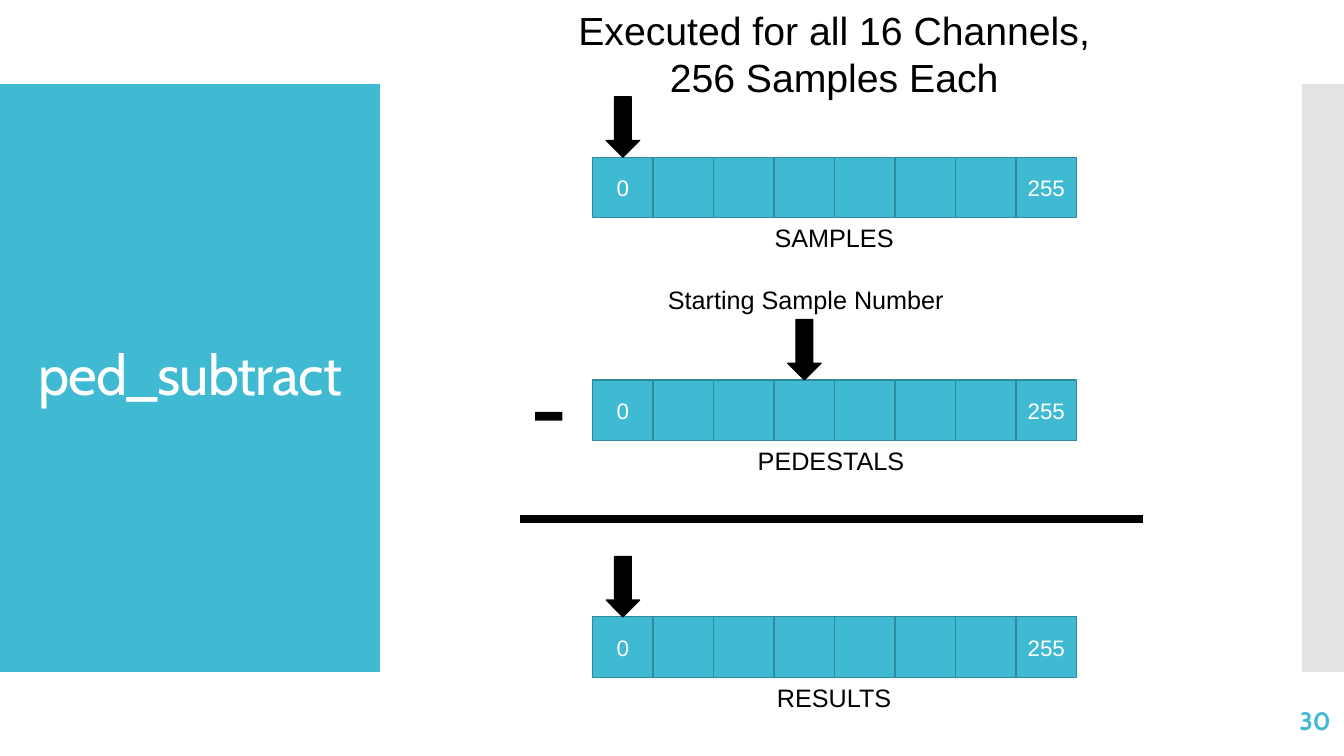
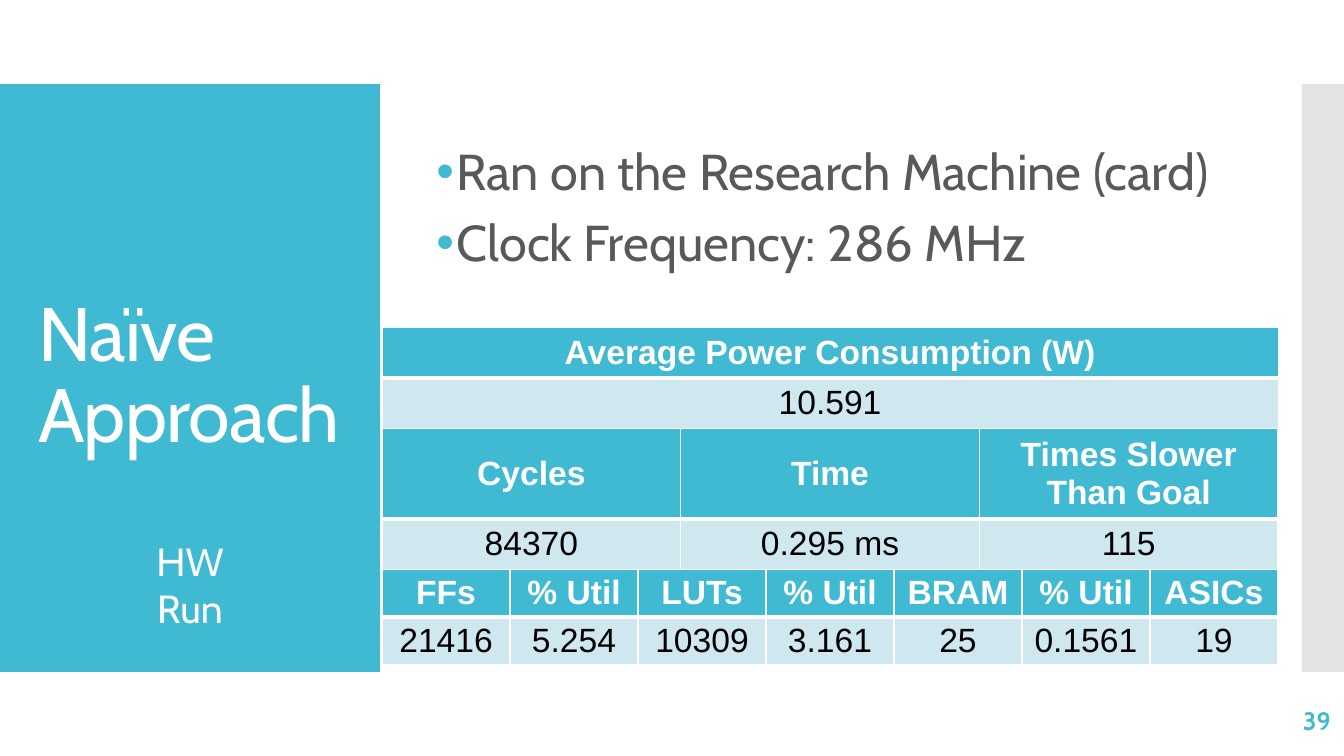
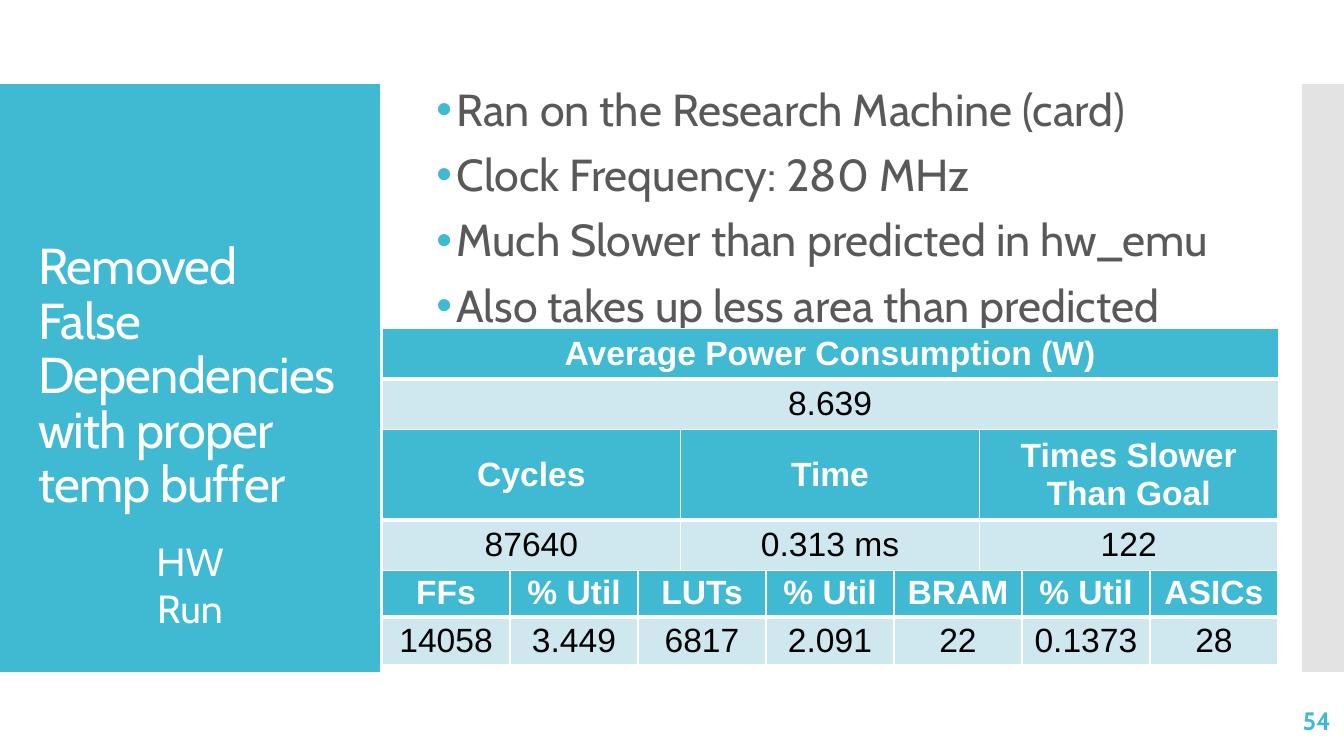
from lxml import etree
from pptx import Presentation
from pptx.dml.color import RGBColor
from pptx.enum import shapes, text
from pptx.oxml import ns
from pptx.util import Pt

# Shared style
TEAL, TEAL_DARK, TEAL_PALE = "40BAD2", "2F8A9B", "CFE7EE"
WHITE, BLACK, GREY, BAND_GREY = "FFFFFF", "000000", "595959", "C8C8C8"
TITLE_FONT, LABEL_FONT = "Cabin", "Arial"
CENTER, RIGHT = text.PP_ALIGN.CENTER, text.PP_ALIGN.RIGHT
TOP, MIDDLE = text.MSO_ANCHOR.TOP, text.MSO_ANCHOR.MIDDLE
RECTANGLE, DOWN_ARROW = shapes.MSO_SHAPE.RECTANGLE, shapes.MSO_SHAPE.DOWN_ARROW

# Array diagram
CELL, CELL_COUNT, ARRAY_LEFT = 43.2, 8, 423.36

# Result tables
TABLE_LEFT, TABLE_WIDTH = 272.88, 640.08
ROW_HEIGHT, TALL_ROW, SHORT_ROW = 36, 64.8, 33.84


def rgb(hex_string):
    return RGBColor.from_string(hex_string)


def points(*values):
    return [Pt(value) for value in values]


def set_all(target, values):
    for name, value in values.items():
        setattr(target, name, value)


def add_child(parent, tag, **attributes):
    return etree.SubElement(parent, ns.qn(tag), attributes)


def write(paragraph, words, size, color, font=LABEL_FONT, bold=False, align=None):
    run = paragraph.add_run()
    run.text = words
    set_all(run.font, {"name": font, "size": Pt(size), "bold": bold})
    run.font.color.rgb = rgb(color)
    if align is not None:
        paragraph.alignment = align
    return run


def add_box(slide, kind, box, fill, line=None):
    shape = slide.shapes.add_shape(kind, *points(*box))
    shape.shadow.inherit = False
    shape.fill.solid()
    shape.fill.fore_color.rgb = rgb(fill)
    if line:
        shape.line.color.rgb = rgb(line)
        shape.line.width = Pt(0.85)
    else:
        shape.line.fill.background()
    return shape


def add_label(slide, words, box, size, color=BLACK, font=LABEL_FONT,
              bold=False, align=CENTER, anchor=TOP):
    frame = slide.shapes.add_textbox(*points(*box)).text_frame
    set_all(frame, {"word_wrap": True, "vertical_anchor": anchor})
    write(frame.paragraphs[0], words, size, color, font, bold, align)


def place(placeholder, box):
    names = ("left", "top", "width", "height")
    set_all(placeholder, dict(zip(names, points(*box))))
    frame = placeholder.text_frame
    set_all(frame, {"word_wrap": True, "vertical_anchor": MIDDLE,
                    "auto_size": text.MSO_AUTO_SIZE.NONE})
    return frame


# Side panels belong to the master
def move_panels_to_master(slide, master):
    panel = add_box(slide, RECTANGLE, (0, 60, 271.44, 420), TEAL)
    band = add_box(slide, RECTANGLE, (930, 60, 30, 420), BAND_GREY)
    color = band.fill._xPr.find(".//" + ns.qn("a:srgbClr"))
    add_child(color, "a:alpha", val="50000")
    for shape in (band, panel):
        master.shapes._spTree.insert(2, shape._element)


def new_slide(presentation, layout_index, title, title_size, number):
    slide = presentation.slides.add_slide(presentation.slide_layouts[layout_index])
    frame = place(slide.shapes.title, (20, 88.56, 232.2, 362.16))
    paragraph = frame.paragraphs[0]
    paragraph.line_spacing = 0.9
    run = write(paragraph, title, title_size, WHITE, TITLE_FONT,
                align=text.PP_ALIGN.LEFT)
    run.font._element.set("spc", "-60")
    add_label(slide, number, (837.36, 500.4, 120.24, 28.8), 18, TEAL,
              TITLE_FONT, True, RIGHT, MIDDLE)
    return slide


def add_bullets(slide, lines, size, box):
    frame = place(slide.placeholders[1], box)
    for index, line in enumerate(lines):
        paragraph = frame.add_paragraph() if index else frame.paragraphs[0]
        set_all(paragraph, {"line_spacing": 0.9,
                            "space_before": Pt(12 if index else 0)})
        properties = paragraph._p.get_or_add_pPr()
        properties.set("marL", str(Pt(14.4)))
        properties.set("indent", str(-Pt(14.4)))
        add_child(add_child(properties, "a:buClr"), "a:srgbClr", val=TEAL)
        add_child(properties, "a:buChar", char="•")
        write(paragraph, line, size, GREY, TITLE_FONT)


# Tables
def set_borders(cell, bottom_width):
    properties = cell._tc.get_or_add_tcPr()
    widths = {"a:lnL": 1, "a:lnR": 1, "a:lnT": 1, "a:lnB": bottom_width}
    for tag, width in widths.items():
        line = add_child(properties, tag, w=str(Pt(width)))
        add_child(add_child(line, "a:solidFill"), "a:srgbClr", val=WHITE)


def add_result_table(slide, top, header, values, heights):
    frame = slide.shapes.add_table(
        2, len(header), *points(TABLE_LEFT, top, TABLE_WIDTH, sum(heights)))
    table = frame.table
    for column in table.columns:
        column.width = Pt(TABLE_WIDTH / len(header))
    styles = ((TEAL, WHITE, True, 3), (TEAL_PALE, BLACK, False, 1))
    for row, words, height, style in zip(table.rows, (header, values), heights, styles):
        fill, color, bold, bottom_width = style
        row.height = Pt(height)
        for cell, word in zip(row.cells, words):
            set_all(cell, {"vertical_anchor": MIDDLE,
                           "margin_top": 0, "margin_bottom": 0})
            set_borders(cell, bottom_width)
            cell.fill.solid()
            cell.fill.fore_color.rgb = rgb(fill)
            write(cell.text_frame.paragraphs[0], word, 24, color,
                  bold=bold, align=CENTER)


def add_run_results(slide, top, power, timing, area):
    area_header = ["FFs", "% Util", "LUTs", "% Util", "BRAM", "% Util", "ASICs"]
    add_result_table(slide, 406.8, area_header, area, (SHORT_ROW, SHORT_ROW))
    add_label(slide, "HW Run", (80.7, 380.16, 110, 41.04), 28, WHITE, TITLE_FONT)
    add_result_table(slide, top, ["Average Power Consumption (W)"], [power],
                     (ROW_HEIGHT, ROW_HEIGHT))
    add_result_table(slide, top + 2 * ROW_HEIGHT,
                     ["Cycles", "Time", "Times Slower Than Goal"], timing,
                     (TALL_ROW, ROW_HEIGHT))


# Sample arrays with a pointer above one cell
def add_array(slide, top, name, label_left, label_width, pointer_index):
    captions = {0: "0", CELL_COUNT - 1: "255"}
    for index in range(CELL_COUNT):
        cell = add_box(slide, RECTANGLE,
                       (ARRAY_LEFT + index * CELL, top, CELL, CELL), TEAL, TEAL_DARK)
        if index in captions:
            cell.text_frame.vertical_anchor = MIDDLE
            write(cell.text_frame.paragraphs[0], captions[index], 16, WHITE,
                  align=CENTER)
    add_label(slide, name, (label_left, top + CELL, label_width, 28.8), 18)
    arrow_width = 24
    arrow_left = ARRAY_LEFT + pointer_index * CELL + (CELL - arrow_width) / 2
    add_box(slide, DOWN_ARROW, (arrow_left, top - CELL, arrow_width, CELL),
            BLACK, BLACK)


def add_rule(slide, left, right, y):
    rule = slide.shapes.add_connector(
        shapes.MSO_CONNECTOR.STRAIGHT, *points(left, y, right, y))
    rule.line.color.rgb = rgb(BLACK)
    rule.line.width = Pt(6)
    add_child(rule._element.spPr, "a:effectLst")


def build_subtraction(slide):
    add_array(slide, 112.32, "SAMPLES", 542.16, 107.28, 0)
    add_array(slide, 271.44, "PEDESTALS", 533.52, 120.24, 3)
    add_array(slide, 440.64, "RESULTS", 542.16, 107.28, 0)
    add_label(slide, "Starting Sample Number", (466.56, 199.44, 218.16, 28.8), 18)
    add_label(slide, "-", (371.52, 235.44, 41.04, 104.4), 80)
    add_rule(slide, 371.52, 816.48, 370.8)
    add_label(slide, "Executed for all 16 Channels, 256 Samples Each",
              (400.32, 0.72, 390.96, 74.88), 28)


def main():
    presentation = Presentation()
    presentation.slide_width, presentation.slide_height = points(960, 540)

    subtraction = new_slide(presentation, 5, "ped_subtract", 40, "30")
    move_panels_to_master(subtraction, presentation.slide_master)
    build_subtraction(subtraction)

    naive = new_slide(presentation, 1, "Naïve Approach", 54, "39")
    add_bullets(naive, ["Ran on the Research Machine (card)",
                        "Clock Frequency: 286 MHz"],
                36, (304.56, 87.84, 576, 123.84))
    add_run_results(naive, 234, "10.591", ["84370", "0.295 ms", "115"],
                    ["21416", "5.254", "10309", "3.161", "25", "0.1561", "19"])

    buffered = new_slide(presentation, 1,
                         "Removed False Dependencies with proper temp buffer",
                         36, "54")
    add_bullets(buffered, ["Ran on the Research Machine (card)",
                           "Clock Frequency: 280 MHz",
                           "Much Slower than predicted in hw_emu",
                           "Also takes up less area than predicted"],
                32, (304.56, 64.08, 576, 171.36))
    add_run_results(buffered, 234.72, "8.639", ["87640", "0.313 ms", "122"],
                    ["14058", "3.449", "6817", "2.091", "22", "0.1373", "28"])

    presentation.save("out.pptx")


if __name__ == "__main__":
    main()
